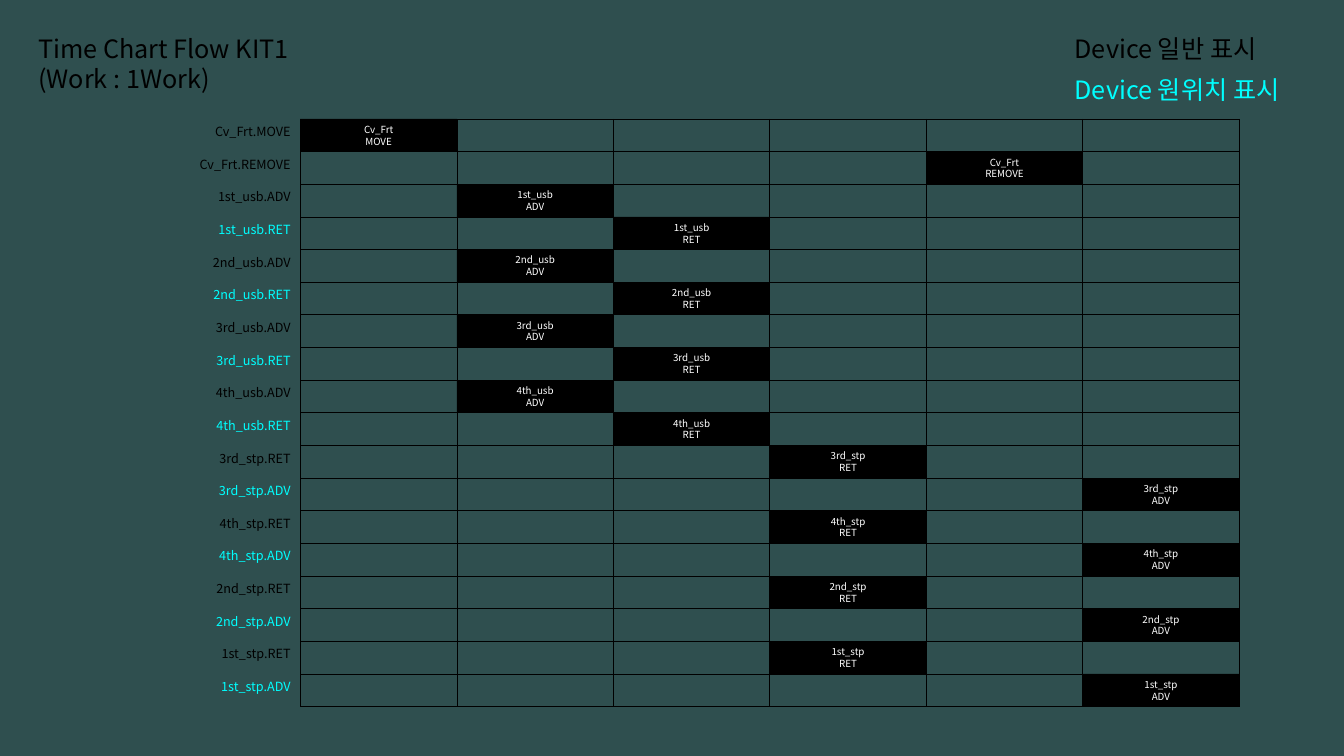
"""Build the KIT1 time chart flow slide."""
from lxml import etree
from pptx import Presentation
from pptx import util as u
from pptx.dml.color import RGBColor
from pptx.enum import shapes, text
from pptx.oxml.ns import qn

FONT = "Noto Sans CJK KR"
SLATE = RGBColor(0x2F, 0x4F, 0x4F)
BLACK = RGBColor(0, 0, 0)
CYAN = RGBColor(0, 0xFF, 0xFF)
WHITE = RGBColor(0xFF, 0xFF, 0xFF)

LEFT, TOP, RIGHT, BASE = 2.98, 1.18, 12.29, 7.01
COLS = 6
MOVES = [("Cv_Frt", "MOVE", 0, BLACK), ("Cv_Frt", "REMOVE", 4, BLACK)]
for unit in ("1st_usb", "2nd_usb", "3rd_usb", "4th_usb"):
    MOVES += [(unit, "ADV", 1, BLACK), (unit, "RET", 2, CYAN)]
for unit in ("3rd_stp", "4th_stp", "2nd_stp", "1st_stp"):
    MOVES += [(unit, "RET", 3, BLACK), (unit, "ADV", 5, CYAN)]
WIDE = (RIGHT - LEFT) / COLS
HIGH = (BASE - TOP) / len(MOVES)


def write(shape, words, size, color, align=text.PP_ALIGN.LEFT,
          anchor=text.MSO_ANCHOR.TOP):
    frame = shape.text_frame
    frame.text = words
    frame.word_wrap = True
    frame.vertical_anchor = anchor
    para = frame.paragraphs[0]
    para.alignment = align
    for run in para.runs:
        run.font.name = FONT
        run.font.size = u.Pt(size)
        run.font.color.rgb = color
        east = etree.SubElement(run.font._element, qn("a:ea"))
        east.set("typeface", FONT)


def label(owner, box, words, size, color, align=text.PP_ALIGN.LEFT):
    shape = owner.add_textbox(*map(u.Inches, box))
    write(shape, words, size, color, align)
    shape.text_frame.auto_size = text.MSO_AUTO_SIZE.SHAPE_TO_FIT_TEXT


def block(owner, box, words):
    shape = owner.add_shape(shapes.MSO_SHAPE.RECTANGLE, *map(u.Inches, box))
    shape.shadow.inherit = False
    shape.fill.solid()
    shape.fill.fore_color.rgb = BLACK
    shape.line.fill.background()
    write(shape, words, 7, WHITE, text.PP_ALIGN.CENTER, text.MSO_ANCHOR.MIDDLE)


def rule(owner, *ends):
    line = owner.add_connector(shapes.MSO_CONNECTOR.STRAIGHT,
                               *map(u.Inches, ends))
    line.line.color.rgb = BLACK
    line.line.width = u.Pt(0.5)
    etree.SubElement(line._element.spPr, qn("a:effectLst"))


def head(slide):
    title = slide.shapes.title
    title.left, title.top = u.Inches(0.28), u.Inches(0.28)
    title.width, title.height = u.Inches(4.17), u.Inches(0.71)
    write(title, "Time Chart Flow KIT1 \v(Work : 1Work)", 18, BLACK)
    title.text_frame.auto_size = text.MSO_AUTO_SIZE.SHAPE_TO_FIT_TEXT
    label(slide.shapes, (10.56, 0.28, 2.78, 0.42), "Device 일반 표시", 18, BLACK)
    label(slide.shapes, (10.56, 0.69, 2.78, 0.42), "Device 원위치 표시", 18, CYAN)


def chart(owner):
    for row, (unit, act, step, color) in enumerate(MOVES):
        top = TOP + row * HIGH
        label(owner, (1.04, top, 1.94, 0.29), f"{unit}.{act}", 9, color,
              text.PP_ALIGN.RIGHT)
        block(owner, (LEFT + step * WIDE, top, WIDE, HIGH), f"{unit}\v{act}")
    for row in range(len(MOVES) + 1):
        y = TOP + row * HIGH
        rule(owner, LEFT, y, RIGHT, y)
    for col in range(COLS + 1):
        x = LEFT + col * WIDE
        rule(owner, x, TOP, x, BASE)


def main():
    deck = Presentation()
    deck.slide_width, deck.slide_height = u.Inches(13.33), u.Inches(7.5)
    slide = deck.slides.add_slide(deck.slide_layouts[5])
    slide.background.fill.solid()
    slide.background.fill.fore_color.rgb = SLATE
    head(slide)
    chart(slide.shapes.add_group_shape().shapes)
    deck.save("out.pptx")


if __name__ == "__main__":
    main()
